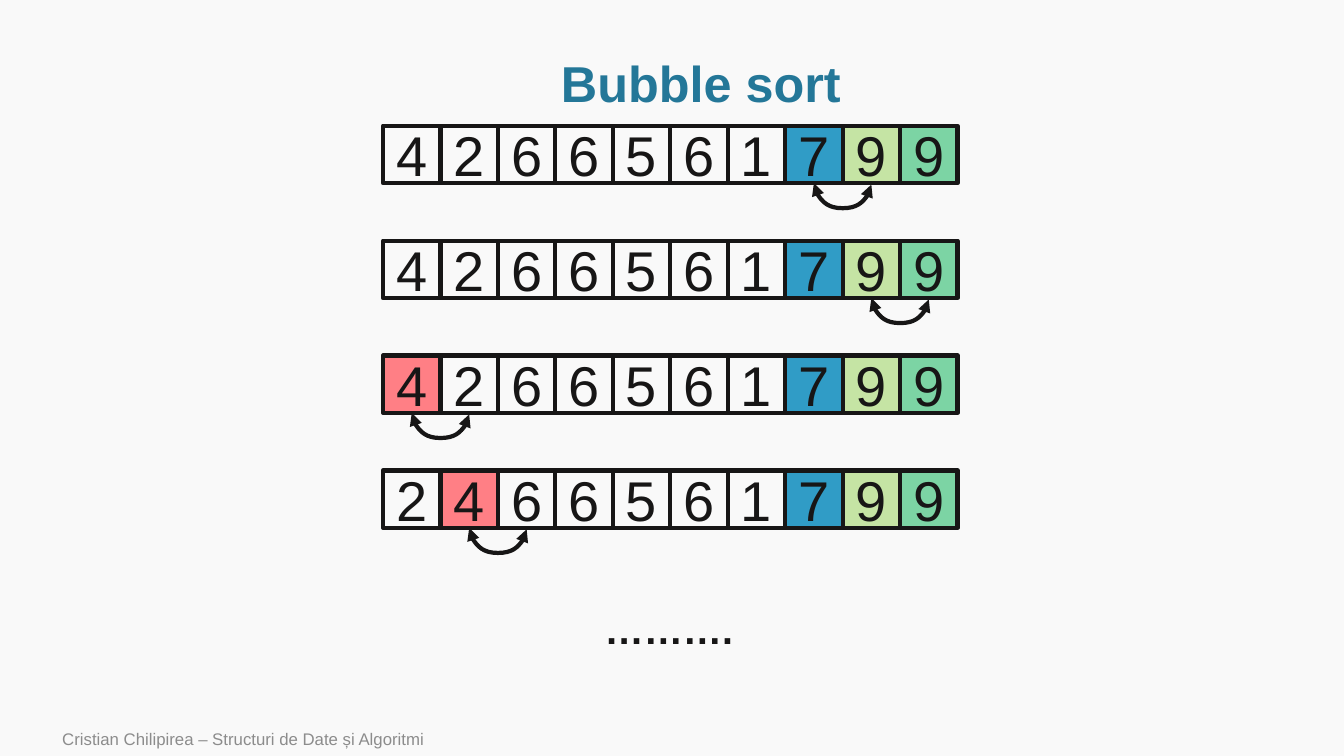
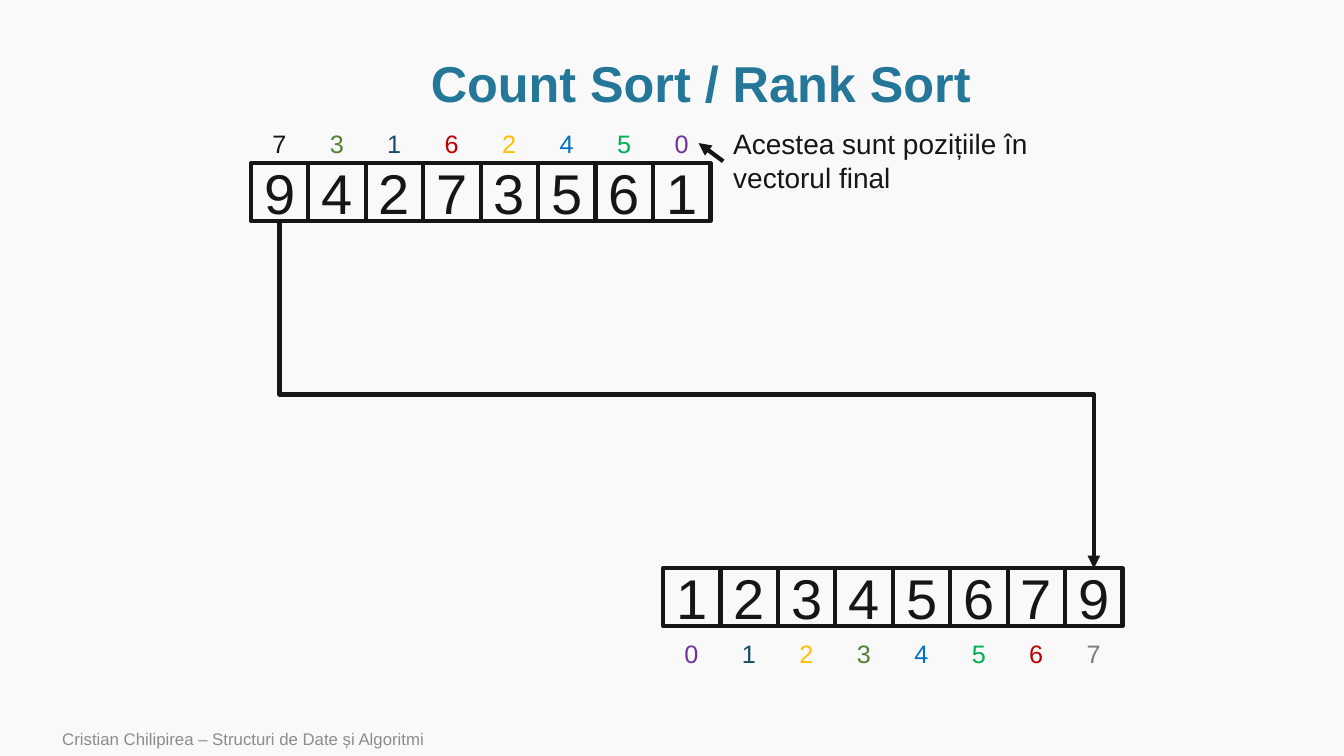
"""Build two slides on bubble sort and count sort."""
from lxml import etree
from pptx import Presentation
from pptx.dml.color import RGBColor
from pptx.enum.shapes import MSO_CONNECTOR as Connector, MSO_SHAPE as Shape
from pptx.enum.text import MSO_ANCHOR as Anchor, PP_ALIGN as Align
from pptx.oxml.ns import qn
from pptx.util import Pt

FONT = "Arial"
COLORS = {
    "background": "F9F9F9", "title": "247798", "ink": "171616",
    "footer": "8C8C8C", "moving": "FF7F85", "blue": "309CC6",
    "lime": "C5E4A4", "green": "7CD4A4",
}
RANK_COLORS = {
    "0": "7030A0", "1": "174D63", "2": "FFC000", "3": "548235",
    "4": "0070C0", "5": "00B050", "6": "C00000", "7": "7C7C7C",
}
FOOTER = "Cristian Chilipirea – Structuri de Date și Algoritmi"
CELL = 41.04
LABEL_WIDTH = 24.5
LINE_WIDTH = 3


def write(shape, text, size, color, align=Align.LEFT, anchor=Anchor.TOP, bold=False, wrap=True):
    frame = shape.text_frame
    frame.text = text
    frame.word_wrap = wrap
    frame.vertical_anchor = anchor
    paragraph = frame.paragraphs[0]
    paragraph.alignment = align
    font = paragraph.runs[0].font
    font.name, font.size, font.bold = FONT, Pt(size), bold
    font.color.rgb = RGBColor.from_string(color)
    return paragraph


def style_line(connector, ends):
    connector.line.color.rgb = RGBColor.from_string(COLORS["ink"])
    connector.line.width = Pt(LINE_WIDTH)
    line = connector.line._get_or_add_ln()
    for end in ends:
        etree.SubElement(line, qn(f"a:{end}"), type="triangle")
    etree.SubElement(connector._element.spPr, qn("a:effectLst"))


presentation = Presentation()
presentation.slide_width, presentation.slide_height = Pt(960), Pt(540)
background = presentation.slide_master.background.fill
background.solid()
background.fore_color.rgb = RGBColor.from_string(COLORS["background"])

slides = []
for title in ("Bubble sort", "Count Sort / Rank Sort"):
    slide = presentation.slides.add_slide(presentation.slide_layouts[6])
    box = slide.shapes.add_textbox(Pt(82), Pt(36.7), Pt(837.4), Pt(49.7))
    paragraph = write(box, title, 36, COLORS["title"], Align.CENTER, Anchor.MIDDLE, bold=True)
    paragraph.line_spacing = 0.9
    box = slide.shapes.add_textbox(Pt(37.4), Pt(515.5), Pt(604.8), Pt(24.5))
    write(box, FOOTER, 12, COLORS["footer"], anchor=Anchor.MIDDLE)
    slides.append(slide)
bubble_slide, count_slide = slides

sorted_fills = {7: "blue", 8: "lime", 9: "green"}
bubble_steps = [
    ("4266561799", 7, {}),
    ("4266561799", 8, {}),
    ("4266561799", 0, {0: "moving"}),
    ("2466561799", 1, {1: "moving"}),
]
arrays = [
    (bubble_slide, 273.6, 89.8 + 2 * CELL * step, digits, sorted_fills | extra)
    for step, (digits, _, extra) in enumerate(bubble_steps)
]
arrays += [
    (count_slide, 179.2, 116.6, "94273561", {}),
    (count_slide, 473.6, 406, "12345679", {}),
]

rows = []
for slide, left, top, digits, fills in arrays:
    cells = []
    for index, digit in enumerate(digits):
        cell = slide.shapes.add_shape(
            Shape.RECTANGLE, Pt(left + index * CELL), Pt(top), Pt(CELL), Pt(CELL))
        cell.shadow.inherit = False
        if index in fills:
            cell.fill.solid()
            cell.fill.fore_color.rgb = RGBColor.from_string(COLORS[fills[index]])
        else:
            cell.fill.background()
        cell.line.color.rgb = RGBColor.from_string(COLORS["ink"])
        cell.line.width = Pt(LINE_WIDTH)
        write(cell, digit, 40, COLORS["ink"], Align.CENTER, Anchor.MIDDLE)
        cells.append(cell)
    rows.append(cells)
source_cells, target_cells = rows[-2:]

links = [
    (bubble_slide, Connector.CURVE, cells[first], cells[first + 1], 2, ("headEnd", "tailEnd"))
    for cells, (_, first, _) in zip(rows, bubble_steps)
]
links.append((count_slide, Connector.ELBOW, source_cells[0], target_cells[-1], 0, ("tailEnd",)))

for slide, kind, start, end, end_site, ends in links:
    start_x, end_x = (cell.left + cell.width // 2 for cell in (start, end))
    start_y = start.top + start.height
    end_y = end.top + (end.height if end_site == 2 else 0)
    connector = slide.shapes.add_connector(kind, start_x, start_y, end_x, end_y)
    connector.begin_connect(start, 2)
    connector.end_connect(end, end_site)
    width, height = max(end_y - start_y, Pt(1)), end_x - start_x
    connector.left = (start_x + end_x - width) // 2
    connector.top = start_y + (width - height) // 2
    connector.width, connector.height = width, height
    transform = connector._element.spPr.find(qn("a:xfrm"))
    transform.set("rot", "16200000")
    transform.set("flipH", "1")
    if kind == Connector.CURVE:
        geometry = connector._element.spPr.find(qn("a:prstGeom"))
        adjustments = geometry.get_or_add_avLst()
        etree.SubElement(adjustments, qn("a:gd"), name="adj1", fmla="val 1800000")
    style_line(connector, ends)

dots = bubble_slide.shapes.add_textbox(Pt(424.8), Pt(429.1), Pt(107.3), Pt(41))
write(dots, "……….", 28, COLORS["ink"], bold=True, wrap=False)

for cells, top, ranks, colors in (
    (source_cells, 88.2, "73162450", RANK_COLORS | {"7": COLORS["ink"]}),
    (target_cells, 452.2, "01234567", RANK_COLORS),
):
    for cell, rank in zip(cells, ranks):
        left = cell.left + (cell.width - Pt(LABEL_WIDTH)) // 2
        label = count_slide.shapes.add_textbox(left, Pt(top), Pt(LABEL_WIDTH), Pt(29))
        write(label, rank, 18, colors[rank], wrap=False)

note = count_slide.shapes.add_textbox(Pt(516.6), Pt(87.1), Pt(298.8), Pt(55.7))
write(note, "Acestea sunt pozițiile în vectorul final", 20, COLORS["ink"])
pointer = count_slide.shapes.add_connector(
    Connector.STRAIGHT, Pt(516.6), Pt(115.2), Pt(499), Pt(102.2))
style_line(pointer, ("tailEnd",))

presentation.save("out.pptx")
